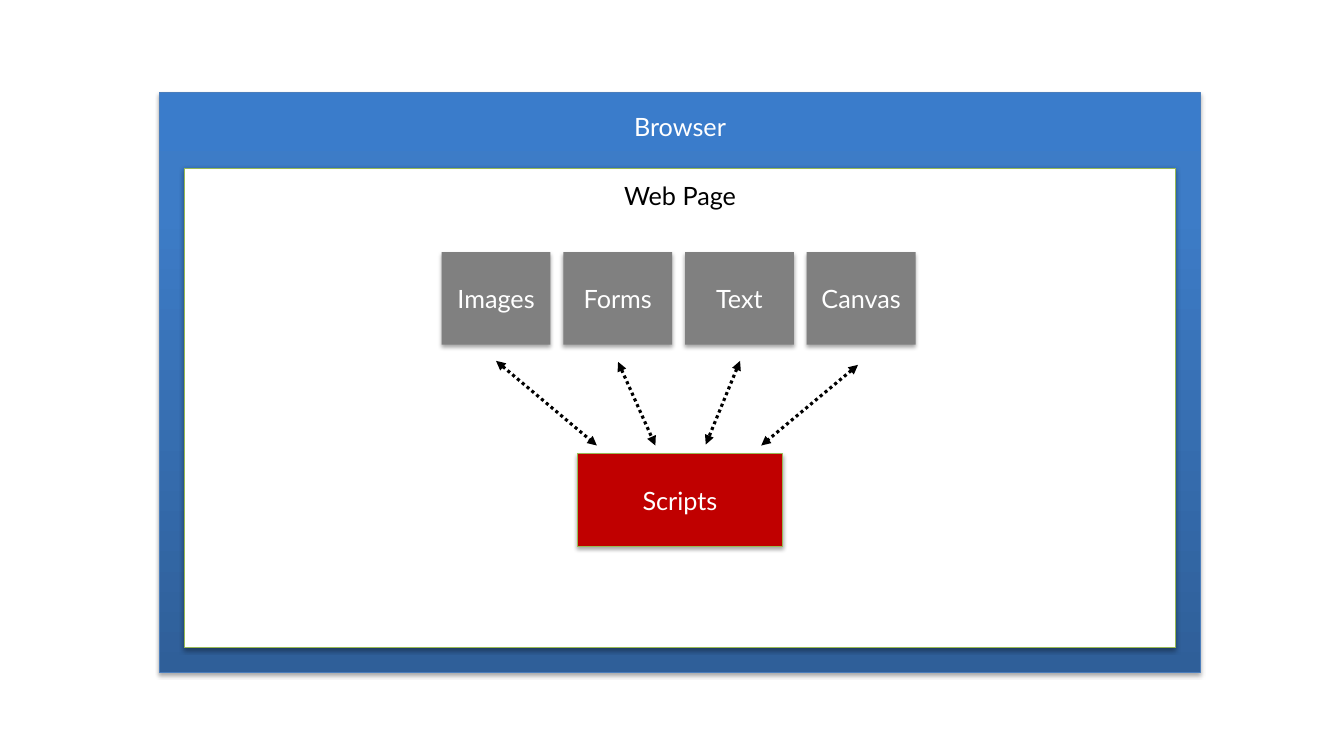
"""Build a slide showing how scripts interact with the parts of a web page inside a browser."""
from copy import deepcopy

from lxml.etree import SubElement
from pptx import Presentation
from pptx.dml.color import RGBColor
from pptx.enum.dml import MSO_LINE
from pptx.enum.shapes import MSO_CONNECTOR, MSO_SHAPE
from pptx.enum.text import MSO_ANCHOR, PP_ALIGN
from pptx.oxml.ns import qn
from pptx.util import Inches, Pt


def rgb(value):
    return RGBColor.from_string(value)


def add_box(s, kind, box, text, fill, line=None, color="FFFFFF", top=None, shadow=(35, 1.8)):
    sp = s.shapes.add_shape(kind, *map(Inches, box))
    for i in range(len(sp.adjustments)):
        sp.adjustments[i] = 0
    if fill:
        sp.fill.solid()
        sp.fill.fore_color.rgb = rgb(fill)
    if line:
        sp.line.color.rgb = rgb(line)
        sp.line.width = Pt(0.75)
    else:
        sp.line.fill.background()

    sp.shadow.inherit = False
    alpha, distance = shadow
    effects = sp._element.spPr.find(qn("a:effectLst"))
    outer = SubElement(effects, qn("a:outerShdw"), blurRad=str(Pt(3.1)),
                       dist=str(Pt(distance)), dir="5400000", rotWithShape="0")
    black = SubElement(outer, qn("a:srgbClr"), val="000000")
    SubElement(black, qn("a:alpha"), val=str(alpha * 1000))

    tf = sp.text_frame
    tf.word_wrap = True
    tf.vertical_anchor = MSO_ANCHOR.MIDDLE
    if top is not None:
        tf.vertical_anchor = MSO_ANCHOR.TOP
        tf.margin_top = Inches(top)
    p = tf.paragraphs[0]
    p.alignment = PP_ALIGN.CENTER
    r = p.add_run()
    r.text = text
    for name, value in {"name": "Lato", "size": Pt(18)}.items():
        setattr(r.font, name, value)
    r.font.color.rgb = rgb(color)
    return sp


prs = Presentation()
prs.slide_width, prs.slide_height = Inches(13.33), Inches(7.5)
s = prs.slides.add_slide(prs.slide_layouts[6])

browser = add_box(s, MSO_SHAPE.ROUNDED_RECTANGLE, (1.58, 0.92, 10.33, 5.75),
                  "Browser", None, "4B7EBC", top=0.18)
browser.fill.gradient()
browser.fill.gradient_angle = 90
stop_list = browser._element.spPr.find(".//" + qn("a:gsLst"))
stop_list.append(deepcopy(stop_list[-1]))
blues = [(0, "2F5F99"), (0.8, "3D7CC7"), (1, "3A7CCB")]
for stop, (position, color) in zip(browser.fill.gradient_stops, blues):
    stop.position = position
    stop.color.rgb = rgb(color)

add_box(s, MSO_SHAPE.ROUNDED_RECTANGLE, (1.83, 1.67, 9.83, 4.75), "Web Page",
        "FFFFFF", "98B955", color="000000", top=0.12, shadow=(38, 1.6))

for i, part in enumerate(["Images", "Forms", "Text", "Canvas"]):
    add_box(s, MSO_SHAPE.ROUND_2_SAME_RECTANGLE, (4.38 + i * 1.207, 2.5, 1.08, 0.92),
            part, "808080")
add_box(s, MSO_SHAPE.ROUND_2_SAME_RECTANGLE, (5.73, 4.5, 2.03, 0.92),
        "Scripts", "C00000", "98B955")

arrows = [(4.92, 3.58, 5.92, 4.42), (6.13, 3.59, 6.5, 4.42),
          (7.34, 3.58, 7, 4.41), (8.51, 3.62, 7.55, 4.42)]
for ends in arrows:
    arrow = s.shapes.add_connector(MSO_CONNECTOR.STRAIGHT, *map(Inches, ends))
    arrow.line.color.rgb = rgb("000000")
    arrow.line.width = Pt(2.25)
    arrow.line.dash_style = MSO_LINE.ROUND_DOT
    for end in ("a:headEnd", "a:tailEnd"):
        SubElement(arrow.line._get_or_add_ln(), qn(end), type="triangle")
    SubElement(arrow._element.spPr, qn("a:effectLst"))

prs.save("out.pptx")
